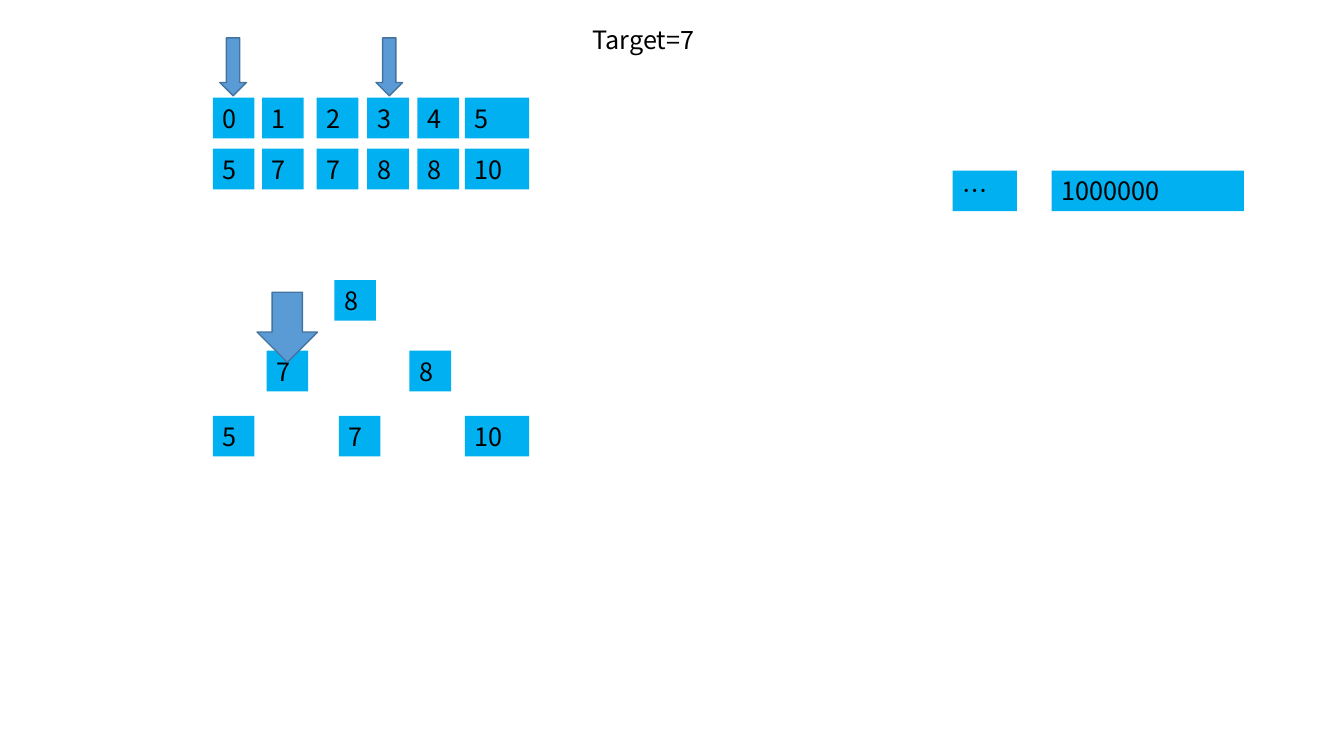
from lxml.etree import SubElement
from pptx import Presentation
from pptx.dml.color import RGBColor
from pptx.enum.shapes import MSO_SHAPE as SHAPE
from pptx.enum.text import MSO_ANCHOR as ANCHOR, MSO_AUTO_SIZE as AUTOSIZE, PP_ALIGN as ALIGN
from pptx.oxml.ns import qn
from pptx.util import Pt

FONT = "Noto Sans CJK SC"
CELL_HEIGHT = 29
NARROW, WIDE = 29.8, 46

COLUMNS = [152, 187.2, 226.2, 262.2, 298.2, 332]
ARRAY_ROWS = [
    (69.8, ["0", "1", "2", "3", "4", "5"]),
    (106.2, ["5", "7", "7", "8", "8", "10"]),
]
TREE_LEVELS = [
    (200, [("8", 238.8)]),
    (250.5, [("7", 190.4), ("8", 292.4)]),
    (297, [("5", 152), ("7", 242), ("10", 332)]),
]


def color(hex_code):
    return RGBColor.from_string(hex_code)


def write(shape, text, size=18, ink="000000", align=ALIGN.LEFT):
    frame = shape.text_frame
    frame.word_wrap = True
    frame.auto_size = AUTOSIZE.NONE
    frame.vertical_anchor = ANCHOR.MIDDLE
    paragraph = frame.paragraphs[0]
    paragraph.alignment = align
    run = paragraph.add_run()
    run.text = text
    run.font.size = Pt(size)
    run.font.color.rgb = color(ink)
    run.font.name = FONT
    # East Asian typeface, used by the ellipsis
    SubElement(run.font._element, qn("a:ea"), typeface=FONT)


def add_block(slide, kind, left, top, width, height, fill, line=None):
    block = slide.shapes.add_shape(kind, Pt(left), Pt(top), Pt(width), Pt(height))
    block.shadow.inherit = False
    block.fill.solid()
    block.fill.fore_color.rgb = color(fill)
    if line:
        block.line.color.rgb = color(line)
        block.line.width = Pt(1)
    else:
        block.line.fill.background()
    return block


def add_cell(slide, text, left, top, width=None):
    width = width or (WIDE if len(text) > 1 else NARROW)
    cell = add_block(slide, SHAPE.RECTANGLE, left, top, width, CELL_HEIGHT, "00B0F0")
    write(cell, text)


def add_arrow(slide, kind, left, top, width, height, rotation=0):
    arrow = add_block(slide, kind, left, top, width, height, "5B9BD5", line="43739E")
    arrow.rotation = rotation


def main():
    deck = Presentation()
    deck.slide_width, deck.slide_height = Pt(960), Pt(540)
    slide = deck.slides.add_slide(deck.slide_layouts[6])

    # Search tree
    for top, nodes in TREE_LEVELS:
        for value, left in nodes:
            add_cell(slide, value, left, top)

    # Tail of the long array
    add_cell(slide, "…", 680.4, 121.8, WIDE)
    add_cell(slide, "1000000", 751.2, 121.8, 137.4)

    # Arrows at the tree node and at both array positions
    add_arrow(slide, SHAPE.RIGHT_ARROW, 180.2, 212.2, 50, 43.2, rotation=90)
    for left in (157, 268.6):
        add_arrow(slide, SHAPE.DOWN_ARROW, left, 27, 19, 41.4)

    # Array indexes and values, the last column being wide
    for top, values in ARRAY_ROWS:
        for value, left in zip(values, COLUMNS):
            add_cell(slide, value, left, top, WIDE if left == COLUMNS[-1] else NARROW)

    # Search target
    target = slide.shapes.add_textbox(Pt(416.2), Pt(13.8), Pt(189.4), Pt(CELL_HEIGHT))
    write(target, "Target=7")

    deck.save("out.pptx")


if __name__ == "__main__":
    main()
